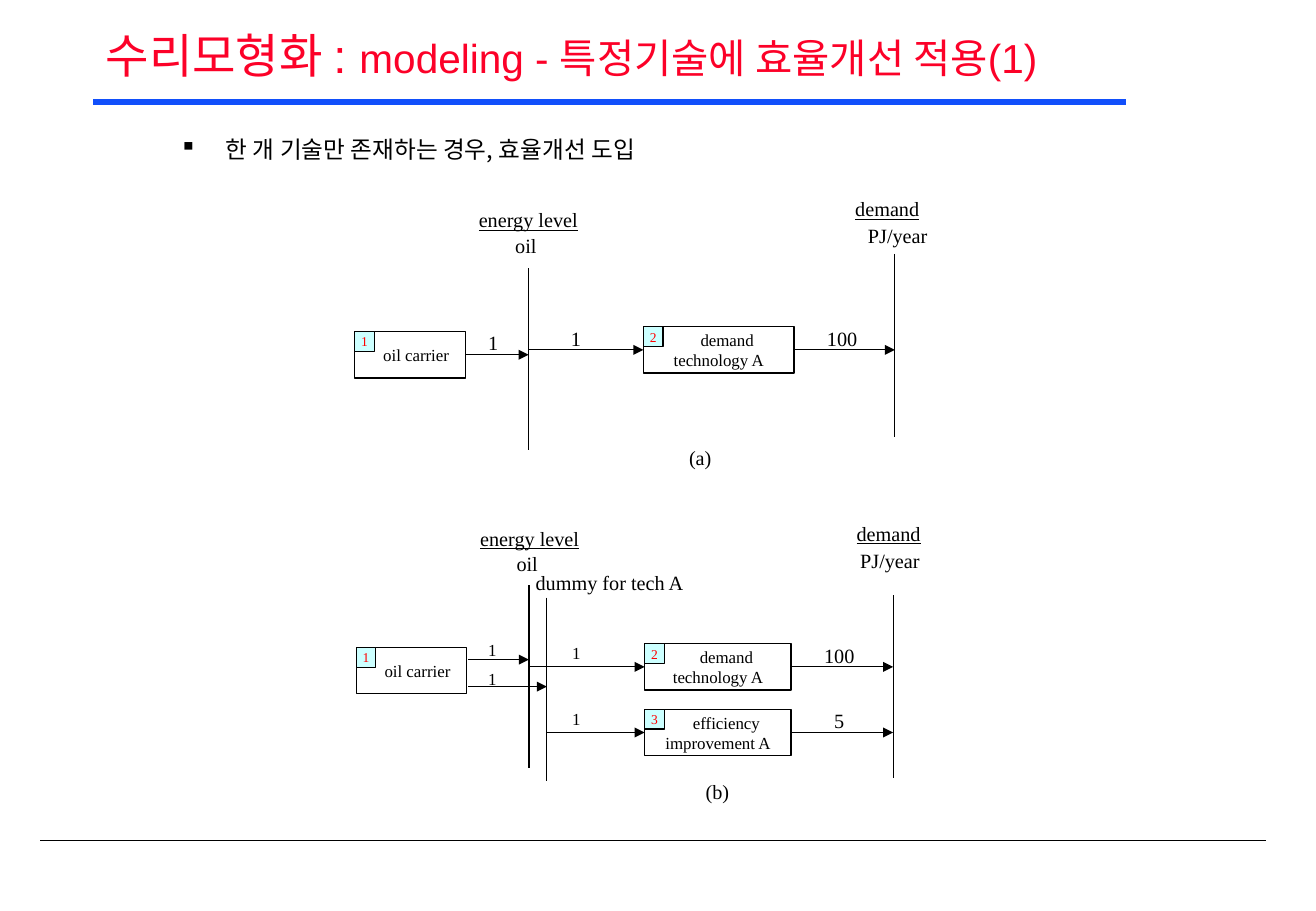
from lxml.etree import SubElement
from pptx import Presentation
from pptx.dml.color import RGBColor
from pptx.enum.shapes import MSO_CONNECTOR, MSO_SHAPE
from pptx.enum.text import MSO_ANCHOR, MSO_AUTO_SIZE, PP_ALIGN
from pptx.oxml.ns import qn
from pptx.util import Pt

SERIF = "Times New Roman"
KOREAN = "Noto Sans CJK KR"
BLACK, RED, BLUE, CYAN = "000000", "FC0128", "114FFB", "CCFFFF"
BOX_HEIGHT = 27.4
CARRIER_WIDTH = 65.5


def color(value):
    return RGBColor.from_string(value)


def set_font(font, name, size, value):
    font.name = name
    font.size = Pt(size)
    font.color.rgb = color(value)


def set_korean_font(font):
    SubElement(font._rPr, qn("a:ea"), typeface=KOREAN)


def add_line(slide, x1, y1, x2, y2, width=0.75, value=BLACK):
    line = slide.shapes.add_connector(
        MSO_CONNECTOR.STRAIGHT, Pt(x1), Pt(y1), Pt(x2), Pt(y2))
    line.line.width = Pt(width)
    line.line.color.rgb = color(value)
    SubElement(line._element.spPr, qn("a:effectLst"))
    return line


def add_arrow(slide, x1, x2, y):
    arrow = add_line(slide, x1, y, x2, y)
    SubElement(arrow.line._get_or_add_ln(), qn("a:tailEnd"), type="triangle")
    return arrow


def add_label(slide, left, top, width, text, size=12, underline=False, align=PP_ALIGN.LEFT):
    label = slide.shapes.add_textbox(Pt(left), Pt(top), Pt(width), Pt(21.6))
    label.text_frame.word_wrap = False
    paragraph = label.text_frame.paragraphs[0]
    paragraph.text = text
    paragraph.alignment = align
    set_font(paragraph.font, SERIF, size, BLACK)
    if underline:
        paragraph.font.underline = True


def add_box(slide, left, top, width, height, lines, size, value=BLACK, fill=None, indent=0):
    box = slide.shapes.add_shape(
        MSO_SHAPE.RECTANGLE, Pt(left), Pt(top), Pt(width), Pt(height))
    box.shadow.inherit = False
    if fill:
        box.fill.solid()
        box.fill.fore_color.rgb = color(fill)
    else:
        box.fill.background()
    box.line.color.rgb = color(BLACK)
    box.line.width = Pt(0.75)
    frame = box.text_frame
    frame.word_wrap = True
    frame.vertical_anchor = MSO_ANCHOR.MIDDLE
    frame.margin_left = frame.margin_right = frame.margin_top = frame.margin_bottom = 0
    frame.text = "\n".join(lines)
    for paragraph in frame.paragraphs:
        paragraph.alignment = PP_ALIGN.CENTER
        set_font(paragraph.font, SERIF, size, value)
    if indent:
        frame.paragraphs[0]._p.get_or_add_pPr().set("indent", str(Pt(indent)))
    return box


def add_numbered_box(slide, left, top, width, number, lines, indent):
    box = add_box(slide, left, top, width, BOX_HEIGHT, lines, 10, indent=indent)
    add_box(slide, left, top, 11.7, 11.7, [number], 8, "FF0000", CYAN)
    return box


def add_carrier(slide, left, top):
    return add_numbered_box(slide, left, top, CARRIER_WIDTH, "1", ["oil carrier"], 7.2)


def add_technology(slide, left, top, width, number, lines, source, demand, output, size):
    box = add_numbered_box(slide, left, top, width, number, lines, 10)
    middle = top + BOX_HEIGHT / 2
    add_arrow(slide, source, left, middle).end_connect(box, 1)
    add_arrow(slide, left + width, demand, middle).begin_connect(box, 3)
    add_label(slide, left - 50, top - 4, 20, "1", size)
    add_label(slide, left + width - 4.5, top - 4, 66, output, align=PP_ALIGN.CENTER)


def add_headings(slide, left, top, energy_top, unit_left):
    add_label(slide, left + 66.4, top + energy_top, 76, "energy level", underline=True)
    add_label(slide, left + 88, top + energy_top + 15.2, 28, "oil")
    add_label(slide, left + 289.5, top, 56, "demand", underline=True)
    add_label(slide, left + unit_left, top + 16, 52, "PJ/year")


def add_single_panel(slide, left, top):
    oil, demand = left + 103, left + 320
    add_headings(slide, left, top, 6.5, 297)
    add_line(slide, oil, top + 46, oil, top + 154)
    add_line(slide, demand, top + 37.5, demand, top + 146)
    carrier = add_carrier(slide, left, top + 83.6)
    supply = add_arrow(slide, left + CARRIER_WIDTH, oil, top + 83.6 + BOX_HEIGHT / 2)
    supply.begin_connect(carrier, 3)
    add_label(slide, left + 72, top + 79.2, 20, "1")
    add_technology(slide, left + 171, top + 80.7, 89.3, "2", ["demand", "technology A"],
                   oil, demand, "100", 12)
    add_label(slide, left + 191, top + 147.6, 28, "(a)")


def add_improvement_panel(slide, left, top):
    oil, dummy, demand = left + 102.4, left + 113, left + 318.2
    add_headings(slide, left, top, 2.9, 291.6)
    add_label(slide, left + 99.3, top + 29.5, 103, "dummy for tech A")
    for x, start in ((oil, 41.7), (dummy, 49), (demand, 47.5)):
        add_line(slide, x, top + start, x, top + start + 108.5)
    add_carrier(slide, left, top + 78.5)
    for target, arrow_top, label_top in ((oil, 85.7, 70.5), (dummy, 101.7, 87.8)):
        add_arrow(slide, left + CARRIER_WIDTH + 1, target, top + arrow_top)
        add_label(slide, left + 71.2, top + label_top, 20, "1", 10)
    technologies = (("2", ["demand", "technology A"], oil, "100"),
                    ("3", ["efficiency", "improvement A"], dummy, "5"))
    for row, (number, lines, source, output) in enumerate(technologies):
        add_technology(slide, left + 171, top + 76.3 + row * 38.9, 86.8, number, lines,
                       source, demand, output, 10)
    add_label(slide, left + 200, top + 153.3, 29, "(b)")


def add_title(slide, left, top, width, height):
    title = slide.shapes.title
    title.left, title.top, title.width, title.height = map(Pt, (left, top, width, height))
    frame = title.text_frame
    frame.auto_size = MSO_AUTO_SIZE.NONE
    frame.word_wrap = True
    frame.vertical_anchor = MSO_ANCHOR.MIDDLE
    paragraph = frame.paragraphs[0]
    paragraph.alignment = PP_ALIGN.JUSTIFY
    paragraph.line_spacing = 0.9
    for text, size in (("수리모형화 : ", 28), ("modeling - 특정기술에 효율개선 적용(1)", 24)):
        run = paragraph.add_run()
        run.text = text
        set_font(run.font, "Arial", size, RED)
        set_korean_font(run.font)
    add_line(slide, left, top + 48.2, left + 612, top + 48.2, 3.75, BLUE)


def add_bullet(slide, left, top, width, height):
    body = slide.shapes.add_textbox(Pt(left), Pt(top), Pt(width), Pt(height))
    body.text_frame.word_wrap = True
    paragraph = body.text_frame.paragraphs[0]
    paragraph.text = "한 개 기술만 존재하는 경우, 효율개선 도입"
    properties = paragraph._p.get_or_add_pPr()
    properties.set("marL", str(Pt(27.4)))
    properties.set("indent", str(Pt(-27.4)))
    bullet_color = SubElement(properties, qn("a:buClr"))
    SubElement(bullet_color, qn("a:srgbClr"), val=BLACK)
    SubElement(properties, qn("a:buChar"), char="▪")
    set_font(paragraph.font, KOREAN, 14, BLACK)
    set_korean_font(paragraph.font)


def main():
    presentation = Presentation()
    presentation.slide_width, presentation.slide_height = Pt(779.76), Pt(540)
    slide = presentation.slides.add_slide(presentation.slide_layouts[5])
    add_title(slide, 55.4, 12.2, 668.9, 44.6)
    add_bullet(slide, 99.4, 76.3, 630.7, 30.2)
    add_single_panel(slide, 210.2, 113)
    add_improvement_panel(slide, 211, 305.3)
    add_line(slide, 23.8, 498.2, 750.2, 498.2, 1)
    presentation.save("out.pptx")


if __name__ == "__main__":
    main()
